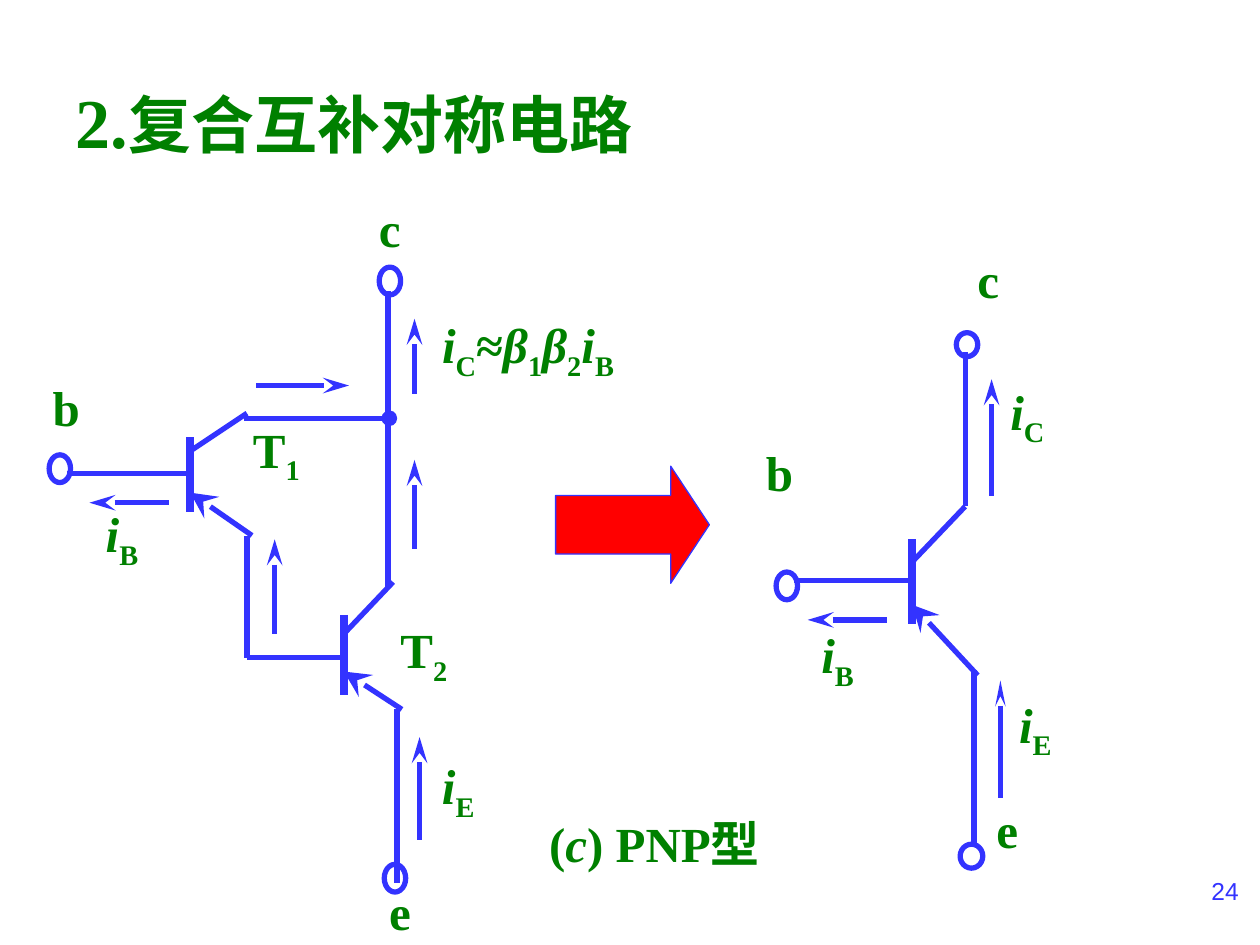
from pptx import Presentation
from pptx.dml.color import RGBColor as Rgb
from pptx.enum.shapes import MSO_CONNECTOR as Conn, MSO_SHAPE as Kind
from pptx.enum.text import MSO_ANCHOR as Anchor, PP_ALIGN as Align
from pptx.oxml.ns import qn
from pptx.util import Inches, Pt
from lxml.etree import SubElement

BLUE, GREEN, RED = "3333FF", "008000", "FF0000"
FONT = "Times New Roman"
TEXT = {"name": FONT, "size": Pt(28), "bold": True}
NUM = {"name": "Arial", "size": Pt(14), "bold": False}
FLOW = ("headEnd", "stealth", "med", "lg")
SLIM = ("headEnd", "stealth", "sm", "lg")
EMIT = ("headEnd", "stealth", "lg", "lg")
NODE = ("tailEnd", "oval", "med", "med")


def tint(code):
    return Rgb.from_string(code)


def inch(*vals):
    return [Inches(v) for v in vals]


def sub(base, low):
    return [(base, {"italic": base == "i"}), (low, {"low": True})]


class Board:
    """Hold the style and the current slide, and draw each kind of element."""

    def __init__(self, deck):
        self.slide = deck.slides.add_slide(deck.slide_layouts[5])
        self.shapes = self.slide.shapes

    def fill_text(self, para, runs, look, color):
        for text, extra in runs:
            run = para.add_run()
            run.text = text
            form = {**look, **extra}
            low = form.pop("low", False)
            for key, val in form.items():
                setattr(run.font, key, val)
            run.font.color.rgb = tint(color)
            if low:
                run.font._element.set("baseline", "-25000")

    def title(self, box, runs):
        head = self.shapes.title
        head.left, head.top, head.width, head.height = inch(*box)
        head.text_frame.vertical_anchor = Anchor.MIDDLE
        para = head.text_frame.paragraphs[0]
        para.alignment = Align.LEFT
        self.fill_text(para, runs, TEXT, GREEN)

    def label(self, box, runs, look=TEXT, color=GREEN, align=Align.JUSTIFY):
        if isinstance(runs, str):
            runs = [(runs, {})]
        frame = self.shapes.add_textbox(*inch(*box)).text_frame
        frame.word_wrap = True
        para = frame.paragraphs[0]
        para.alignment = align
        self.fill_text(para, runs, look, color)

    def wire(self, x1, y1, x2, y2, end=None, width=3):
        wire = self.shapes.add_connector(Conn.STRAIGHT, *inch(x1, y1, x2, y2))
        wire.line.color.rgb = tint(BLUE)
        wire.line.width = Pt(width)
        if end:
            tag, kind, wide, long = end
            tip = SubElement(wire.line._get_or_add_ln(), qn("a:" + tag))
            for key, val in {"type": kind, "w": wide, "len": long}.items():
                tip.set(key, val)
        SubElement(wire._element.spPr, qn("a:effectLst"))

    def shape(self, kind, box, width, fill=None):
        item = self.shapes.add_shape(kind, *inch(*box))
        item.shadow.inherit = False
        item.line.color.rgb = tint(BLUE)
        item.line.width = Pt(width)
        if fill:
            item.fill.solid()
            item.fill.fore_color.rgb = tint(fill)
        else:
            item.fill.background()
        return item

    def ring(self, x, y, w=0.17, h=0.22):
        self.shape(Kind.OVAL, (x, y, w, h), 3)

    def arrow(self, box, *adjs):
        item = self.shape(Kind.RIGHT_ARROW, box, 0.75, RED)
        for i, val in enumerate(adjs):
            item.adjustments[i] = val


def draw_pair(board):
    for ends in [
        (0.53, 3.76, 1.51, 3.76), (1.51, 3.58, 1.96, 3.28),
        (1.96, 4.25, 1.96, 5.22), (1.96, 5.22, 2.73, 5.22),
        (2.73, 5.03, 3.12, 4.62), (3.08, 4.66, 3.08, 2.31),
        (3.15, 5.63, 3.15, 7.01),
    ]:
        board.wire(*ends)
    board.wire(1.94, 3.32, 3.09, 3.32, NODE)
    for x, top, low in [(1.51, 3.47, 4.06), (2.73, 4.88, 5.52)]:
        board.wire(x, top, x, low, width=4.5)
    for ends in [(1.51, 3.91, 2, 4.25), (2.73, 5.33, 3.19, 5.63)]:
        board.wire(*ends, EMIT)
    for ends in [(0.71, 3.99, 1.34, 3.99), (2.77, 3.06, 2.03, 3.06)]:
        board.wire(*ends, FLOW)
    for x, top, low in [(2.18, 4.28, 5.03), (3.29, 2.53, 3.13),
                        (3.29, 3.65, 4.36), (3.33, 5.85, 6.67)]:
        board.wire(x, top, x, low, FLOW)
    for spot in [(3.01, 2.12), (3.05, 6.86), (0.39, 3.61)]:
        board.ring(*spot)
    gain = (sub("i", "C") + [("≈", {})] + sub("β", "1") + sub("β", "2")
            + sub("i", "B"))
    gain = [(t, {"italic": True} if t == "β" else f) for t, f in gain]
    for box, runs in [
        ((2.91, 1.53, 1.03, 0.83), "c"),
        ((2.99, 6.95, 1.01, 0.74), "e"),
        ((0.32, 2.95, 0.83, 0.84), "b"),
        ((1.91, 3.28, 0.66, 0.91), sub("T", "1")),
        ((3.08, 4.87, 0.91, 0.8), sub("T", "2")),
        ((0.74, 3.95, 0.92, 0.86), sub("i", "B")),
        ((3.41, 2.45, 2.65, 0.86), gain),
        ((3.41, 5.95, 1, 1.06), sub("i", "E")),
    ]:
        board.label(box, runs)


def draw_one(board):
    for ends in [
        (7.24, 4.46, 7.66, 4.02), (7.24, 4.61, 6.3, 4.61),
        (7.66, 4.02, 7.66, 2.79), (7.73, 5.32, 7.73, 6.7),
    ]:
        board.wire(*ends)
    board.wire(7.24, 4.28, 7.24, 4.95, width=4.5)
    board.wire(7.24, 4.8, 7.76, 5.36, EMIT)
    board.wire(6.41, 4.92, 7.04, 4.92, FLOW)
    board.wire(7.87, 3.01, 7.87, 3.94, FLOW)
    board.wire(7.94, 5.4, 7.94, 6.33, SLIM)
    for spot in [(6.16, 4.54), (7.59, 2.64, 0.17, 0.19),
                 (7.62, 6.7, 0.18, 0.19)]:
        board.ring(*spot)
    for box, runs in [
        ((6.42, 4.91, 1.06, 0.97), sub("i", "B")),
        ((7.99, 5.46, 0.83, 0.79), sub("i", "E")),
        ((7.92, 2.98, 0.65, 1.06), sub("i", "C")),
        ((5.98, 3.46, 1.33, 1.23), "b"),
        ((7.66, 1.93, 1.33, 1.23), "c"),
        ((7.81, 6.3, 0.84, 0.96), "e"),
    ]:
        board.label(box, runs)


def main():
    deck = Presentation()
    deck.slide_width, deck.slide_height = inch(10, 7.5)
    board = Board(deck)
    board.title((0.5, 0.33, 8.5, 1.25), [
        ("2.", {"size": Pt(40)}), ("复合互补对称电路", {"size": Pt(36)})])
    draw_pair(board)
    draw_one(board)
    board.arrow((4.41, 3.7, 1.22, 0.93), 0.5, 0.33)
    board.label((4.26, 6.41, 2.31, 0.81), [
        ("(", {}), ("c", {"italic": True}), (") PNP型", {})])
    board.label((7.6, 6.9, 2.33, 0.52), "24", NUM, BLUE, Align.RIGHT)
    deck.save("out.pptx")


if __name__ == "__main__":
    main()
